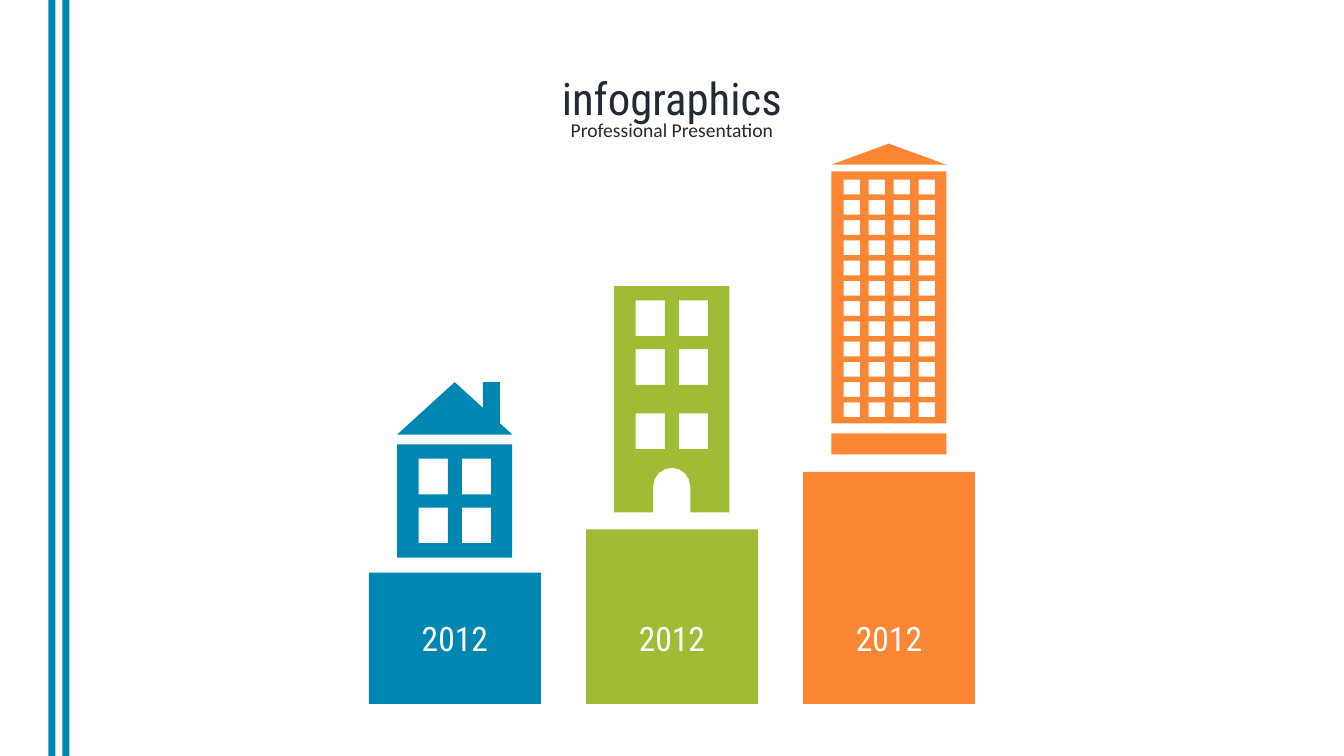
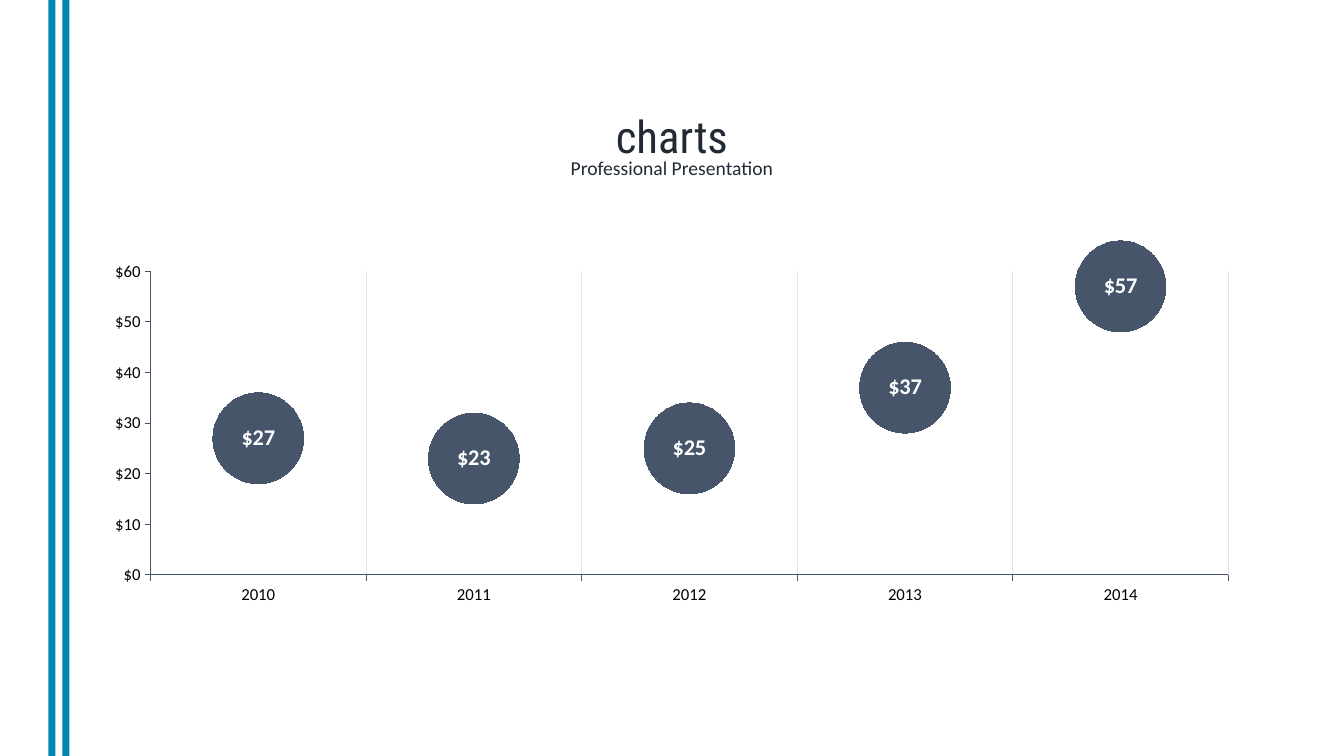
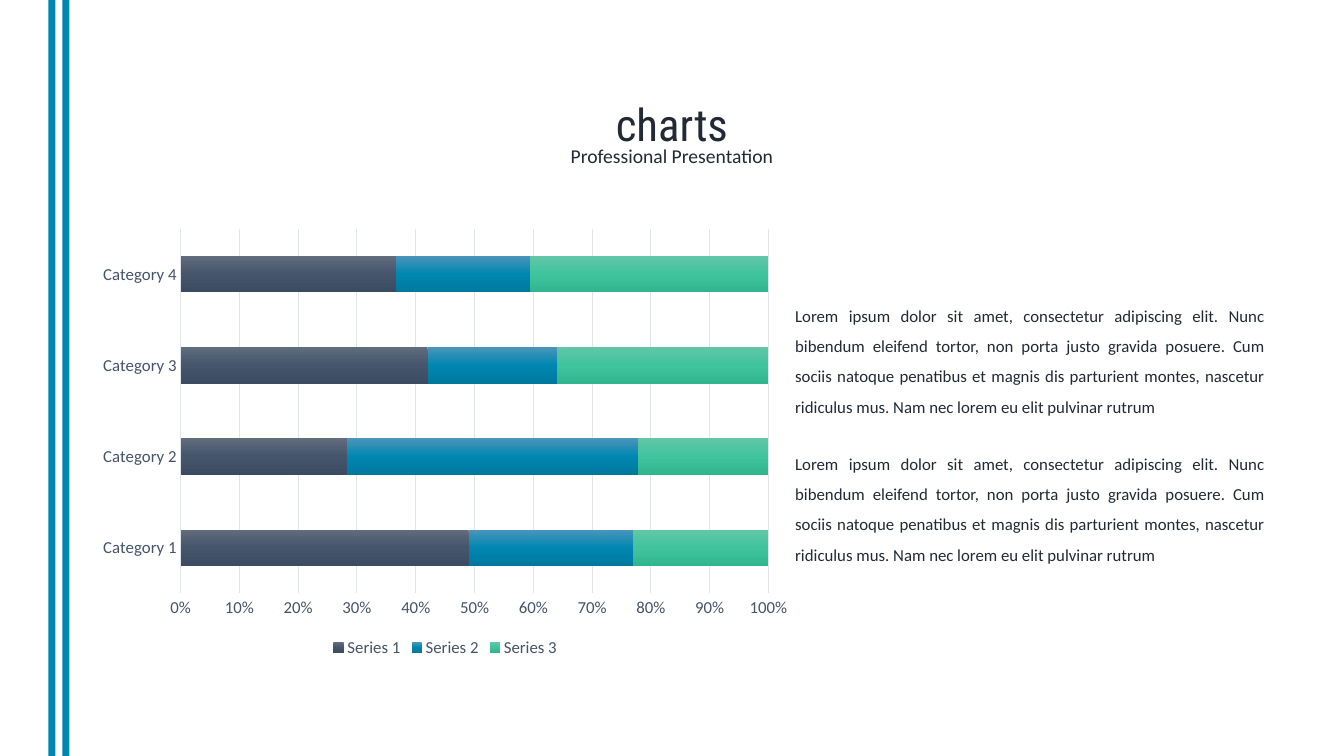
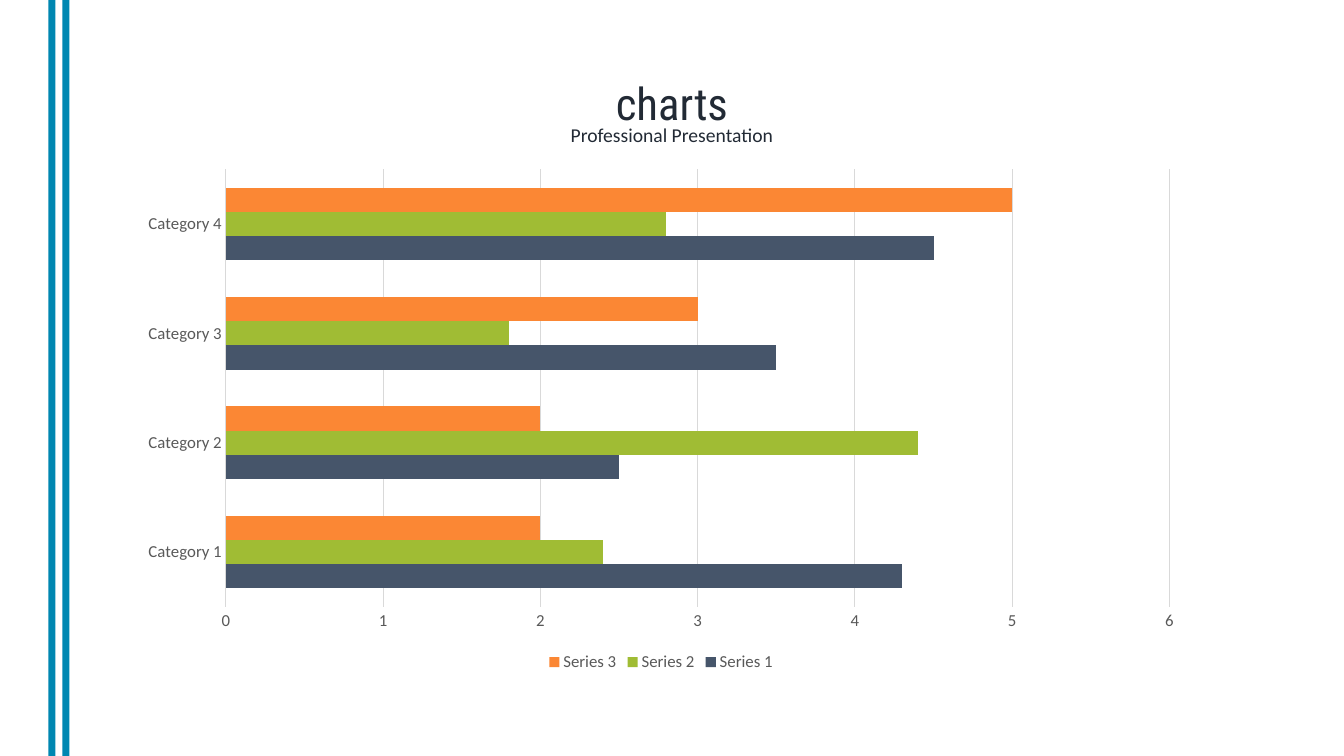
from dataclasses import dataclass
from math import cos, pi, sin

from lxml.etree import SubElement
from pptx import Presentation
from pptx.chart.data import CategoryChartData as Data
from pptx.dml.color import RGBColor
from pptx.enum.chart import XL_CHART_TYPE as Kind
from pptx.enum.chart import XL_LABEL_POSITION as Spot
from pptx.enum.chart import XL_LEGEND_POSITION as Side
from pptx.enum.chart import XL_MARKER_STYLE as Mark
from pptx.enum.chart import XL_TICK_MARK as Tick
from pptx.enum.shapes import MSO_SHAPE as Form
from pptx.enum.text import MSO_ANCHOR as Anchor
from pptx.enum.text import MSO_AUTO_SIZE as Fit
from pptx.enum.text import PP_ALIGN as Align
from pptx.oxml import parse_xml
from pptx.oxml.ns import nsdecls, qn
from pptx.util import Cm, Pt


# Shared style
@dataclass(frozen=True)
class Theme:
    head: str = "Roboto Condensed"
    body: str = "Calibri"
    blue: str = "0087B1"
    green: str = "A0BC34"
    orange: str = "FB8734"
    slate: str = "46556A"
    axis: str = "44546A"
    dark: str = "222A35"
    gray: str = "595959"
    black: str = "000000"
    white: str = "FFFFFF"
    grid: str = "D9D9D9"
    pale: str = "E0E5EB"
    mist: str = "E7E6E6"
    fades: tuple = (
        ("616C7C", "44556C", "3B4B61"),
        ("4B94BA", "0087B1", "00789D"),
        ("62C6A6", "3FC49E", "31B58F"),
    )
    title: int = 32
    year: int = 24
    value: int = 16
    sub: int = 14
    text: int = 12


def rgb(color):
    return RGBColor.from_string(color)


def box(x, y, w, h):
    """Corners of a rectangle, clockwise."""
    return [(x, y), (x + w, y), (x + w, y + h), (x, y + h)]


def panes(x, y, cols, rows, size, step):
    """One rectangle for each window of a grid."""
    return [box(x + c * step[0], y + r * step[1], *size)
            for r in range(rows) for c in range(cols)]


class Deck:
    def __init__(self, theme):
        self.theme = theme
        self.file = Presentation()
        self.file.slide_width, self.file.slide_height = Cm(33.87), Cm(19.05)
        self.page = None

    def slide(self, title, top):
        look = self.theme
        first = self.page is None
        self.page = self.file.slides.add_slide(self.file.slide_layouts[5])
        if first:
            self.bands()
        head = self.page.shapes.title
        head.left, head.top, head.width, head.height = (
            Cm(2.24), Cm(top), Cm(29.39), Cm(1.63))
        self.put(head, title, look.title, look.dark, look.head)
        self.label("Professional Presentation", (2.24, top + 1.19, 29.39, 0.86),
                   look.sub, look.dark, look.body)

    def bands(self):
        """Draw the side bands and move them to the master."""
        tree = self.file.slide_master.element.cSld.spTree
        for n, left in enumerate((1.22, 1.57)):
            band = self.shape(Form.RECTANGLE, (left, 0, 0.18, 19.05),
                              self.theme.blue).element
            band.nvSpPr.cNvPr.set("id", str(100 + n))
            tree.insert(2 + n, band)

    # Text
    def put(self, shape, text, size, color, face, align=Align.CENTER):
        frame = shape.text_frame
        frame.text = text
        frame.word_wrap = True
        frame.auto_size = Fit.NONE
        frame.vertical_anchor = Anchor.TOP
        line = frame.paragraphs[0]
        line.alignment = align
        self.style(line.font, size, color, face)
        return line

    def style(self, font, size, color, face=None):
        font.name = face or self.theme.body
        font.size = Pt(size)
        font.color.rgb = rgb(color)

    def label(self, text, area, size, color, face, align=Align.CENTER):
        shape = self.page.shapes.add_textbox(*map(Cm, area))
        return self.put(shape, text, size, color, face, align)

    # Shapes
    def paint(self, shape, color):
        shape.shadow.inherit = False
        shape.fill.solid()
        shape.fill.fore_color.rgb = rgb(color)
        shape.line.fill.background()
        return shape

    def shape(self, form, area, color):
        return self.paint(
            self.page.shapes.add_shape(form, *map(Cm, area)), color)

    def wall(self, color, edge, holes):
        """An outline with window holes."""
        loops = [[(Cm(x), Cm(y)) for x, y in loop] for loop in (edge, *holes)]
        pen = self.page.shapes.build_freeform(*loops[0][0])
        pen.add_line_segments(loops[0][1:], close=True)
        for loop in loops[1:]:
            pen.move_to(*loop[0])
            pen.add_line_segments(loop[1:], close=True)
        return self.paint(pen.convert_to_shape(), color)

    # Charts
    def chart(self, kind, area, names, rows, ink, form="General"):
        data = Data(number_format=form)
        data.categories = names
        for n, row in enumerate(rows, 1):
            data.add_series(f"Series {n}", row)
        chart = self.page.shapes.add_chart(
            kind, *map(Cm, area), data).chart
        chart.has_title = False
        chart.has_legend = False
        chart.plots[0].vary_by_categories = False
        self.style(chart.font, self.theme.text, ink)
        return chart

    def ruler(self, axis, ink, line=None, grid=None, tick=Tick.NONE):
        axis.major_tick_mark, axis.minor_tick_mark = tick, Tick.NONE
        self.style(axis.tick_labels.font, self.theme.text, ink)
        axis.has_major_gridlines = grid is not None
        if grid:
            self.rule(axis.major_gridlines.format.line, grid)
        if line:
            self.rule(axis.format.line, line)
        else:
            axis.format.line.fill.background()

    def rule(self, line, color):
        line.width = Pt(0.75)
        line.color.rgb = rgb(color)

    def bars(self, kind, area, rows, ink, grid, line=None, form="General"):
        names = [f"Category {n}" for n in range(1, 5)]
        chart = self.chart(kind, area, names, rows, ink)
        chart.plots[0].gap_width = 150
        self.ruler(chart.category_axis, ink, line)
        self.ruler(chart.value_axis, ink, grid=grid)
        labels = chart.value_axis.tick_labels
        labels.number_format, labels.number_format_is_linked = form, False
        chart.has_legend = True
        chart.legend.position = Side.BOTTOM
        chart.legend.include_in_layout = False
        self.style(chart.legend.font, self.theme.text, ink)
        return chart

    def fade(self, row, colors):
        """Fill a series with three colours from top to bottom."""
        fill = row.format.fill
        fill.gradient()
        fill.gradient_angle = 270
        stops = row._element.xpath(".//a:gsLst")[0]
        for stop in list(stops):
            stops.remove(stop)
        for n, color in enumerate(colors):
            stop = SubElement(stops, qn("a:gs"), pos=str(n * 50000))
            SubElement(stop, qn("a:srgbClr"), val=color)

    def frame(self, chart, x, y, w, h):
        """Fix the inner plot area, as shares of the chart."""
        parts = "".join(f'<c:{k} val="{v}"/>' for k, v in (
            ("layoutTarget", "inner"), ("xMode", "edge"), ("yMode", "edge"),
            ("x", x), ("y", y), ("w", w), ("h", h)))
        plot = chart.element.xpath(".//c:plotArea")[0]
        for old in plot.findall(qn("c:layout")):
            plot.remove(old)
        plot.insert(0, parse_xml(
            f'<c:layout {nsdecls("c")}><c:manualLayout>{parts}'
            "</c:manualLayout></c:layout>"))


# Slide 1: buildings on blocks
def towns(deck):
    look = deck.theme
    deck.slide("infographics", 1.65)
    colors = (look.blue, look.green, look.orange)
    lefts = [9.3 + 5.47 * n for n in range(3)]
    floor = 17.74
    for left, top, color in zip(lefts, (14.43, 13.34, 11.89), colors):
        deck.shape(Form.RECTANGLE, (left, top, 4.33, floor - top), color)
        deck.label("2012", (left, 15.44, 4.33, 1.27),
                   look.year, look.white, look.head)

    wide, tall = 2.9, 2.85
    house, flats, tower = [left + 0.71 for left in lefts]

    def grid(x, y, rows):
        return panes(x + 0.54, y + 0.36, 2, rows, (0.74, 0.9), (1.09, 1.23))

    # House
    deck.shape(Form.ISOSCELES_TRIANGLE, (house, 9.63, wide, 1.32), look.blue)
    deck.shape(Form.RECTANGLE, (house + 2.16, 9.63, 0.43, 1.04), look.blue)
    deck.wall(look.blue, box(house, 11.2, wide, tall), grid(house, 11.2, 2))

    # Flats, the lower part with an arched door
    high, low = 7.21, 10.06
    deck.wall(look.green, box(flats, high, wide, tall), grid(flats, high, 2))
    mid, half, base = flats + wide / 2, 0.47, low + tall
    arch = [(mid + half * cos(n * pi / 8), low + 2.2 - half * sin(n * pi / 8))
            for n in range(9)]
    edge = [(flats, low), (flats + wide, low), (flats + wide, base),
            (mid + half, base), *arch, (mid - half, base), (flats, base)]
    deck.wall(look.green, edge, grid(flats, low, 1))

    # Tower
    deck.shape(Form.ISOSCELES_TRIANGLE, (tower, 3.62, wide, 0.53), look.orange)
    deck.wall(look.orange, box(tower, 4.32, wide, 6.35),
              panes(tower + 0.31, 4.53, 4, 12, (0.42, 0.37), (0.63, 0.51)))
    deck.shape(Form.RECTANGLE, (tower, 10.92, wide, 0.53), look.orange)


# Slide 2: dots by year
def dots(deck):
    look = deck.theme
    deck.slide("charts", 2.62)
    money = "[$$-C09]#,##0"
    years = [str(year) for year in range(2010, 2015)]
    chart = deck.chart(Kind.LINE_MARKERS, (2.9, 5.89, 28.07, 9.45), years,
                       [(27, 23, 25, 37, 57)], look.black, money)
    deck.frame(chart, 0.03, 0.1, 0.97, 0.81)
    deck.ruler(chart.category_axis, look.black, look.axis, look.mist,
               Tick.OUTSIDE)
    axis = chart.value_axis
    deck.ruler(axis, look.black, look.axis, tick=Tick.OUTSIDE)
    axis.minimum_scale, axis.maximum_scale, axis.major_unit = 0, 60, 10
    axis.tick_labels.number_format = money
    axis.tick_labels.number_format_is_linked = False

    row = chart.plots[0].series[0]
    row.smooth = False
    row.format.line.fill.background()
    dot = row.marker
    dot.style, dot.size = Mark.CIRCLE, 65
    dot.format.fill.solid()
    dot.format.fill.fore_color.rgb = rgb(look.slate)
    dot.format.line.fill.background()
    labels = row.data_labels
    labels.show_value = True
    labels.position = Spot.CENTER
    labels.number_format, labels.number_format_is_linked = money, False
    deck.style(labels.font, look.value, look.white)
    labels.font.bold = True


# Slide 3: shares beside text
def shares(deck):
    look = deck.theme
    deck.slide("charts", 2.31)
    chart = deck.bars(
        Kind.BAR_STACKED_100, (2.24, 5.54, 17.96, 11.13),
        [(49, 28, 42, 37), (28, 49, 22, 23), (23, 22, 36, 41)],
        look.axis, look.pale, look.pale, "0%")
    chart.plots[0].overlap = 100
    for row, colors in zip(chart.plots[0].series, look.fades):
        deck.fade(row, colors)
    words = ("Lorem ipsum dolor sit amet, consectetur adipiscing elit. Nunc "
             "bibendum eleifend tortor, non porta justo gravida posuere. Cum "
             "sociis natoque penatibus et magnis dis parturient montes, "
             "nascetur ridiculus mus. Nam nec lorem eu elit pulvinar rutrum")
    for top in (7.32, 11.05):
        line = deck.label(words, (19.79, top, 12.34, 3.33), look.text,
                          look.dark, look.body, Align.JUSTIFY)
        line.line_spacing = 1.5


# Slide 4: grouped bars
def groups(deck):
    look = deck.theme
    deck.slide("charts", 1.78)
    chart = deck.bars(
        Kind.BAR_CLUSTERED, (3.2, 4.01, 26.92, 13.03),
        [(4.3, 2.5, 3.5, 4.5), (2.4, 4.4, 1.8, 2.8), (2, 2, 3, 5)],
        look.gray, look.grid)
    colors = (look.slate, look.green, look.orange)
    for row, color in zip(chart.plots[0].series, colors):
        row.format.fill.solid()
        row.format.fill.fore_color.rgb = rgb(color)


def main():
    deck = Deck(Theme())
    for build in (towns, dots, shares, groups):
        build(deck)
    deck.file.save("out.pptx")


if __name__ == "__main__":
    main()
